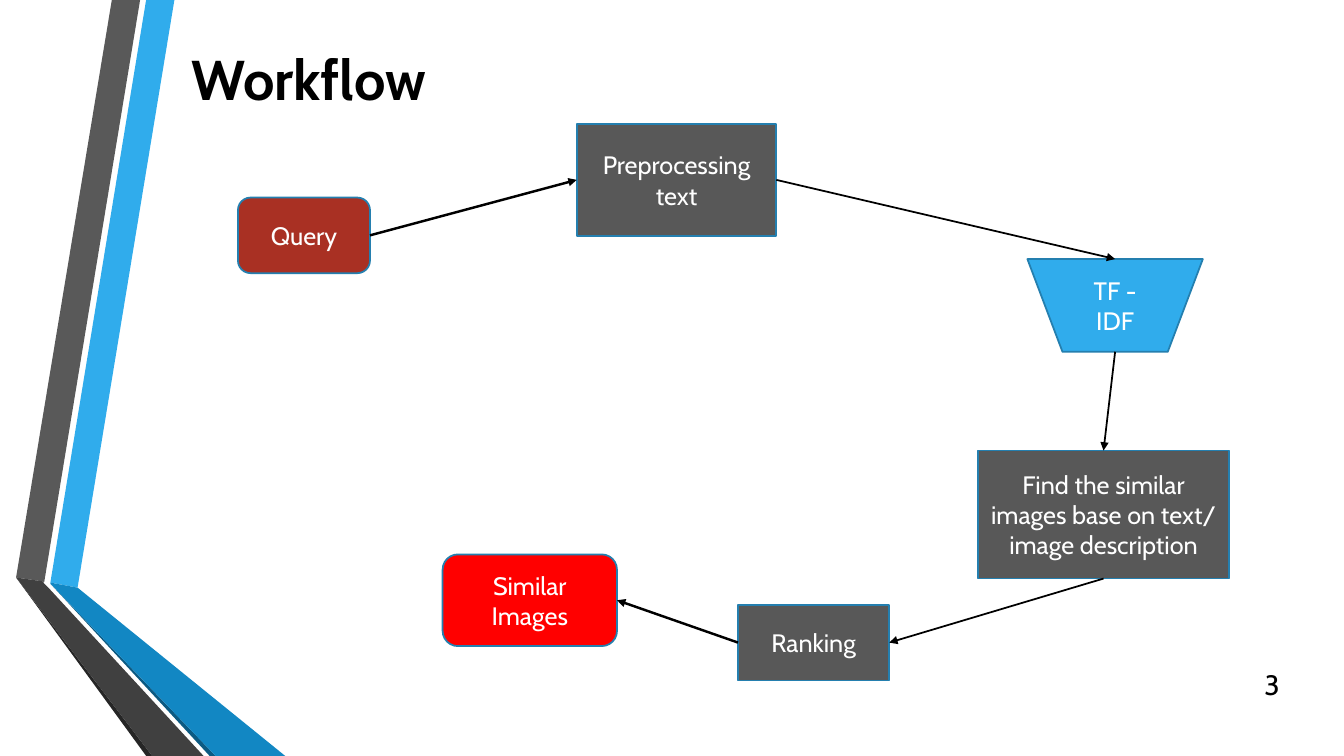
from lxml import etree
from pptx import Presentation
from pptx.dml.color import RGBColor
from pptx.enum.shapes import MSO_CONNECTOR, MSO_SHAPE
from pptx.enum.text import MSO_ANCHOR, PP_ALIGN
from pptx.oxml.ns import qn
from pptx.util import Inches, Pt

STRAIGHT = MSO_CONNECTOR.STRAIGHT
STEP = MSO_SHAPE.FLOWCHART_PROCESS
ROUND = MSO_SHAPE.FLOWCHART_ALTERNATE_PROCESS
FUNNEL = MSO_SHAPE.FLOWCHART_MANUAL_OPERATION
MIDDLE, TOP_ANCHOR = MSO_ANCHOR.MIDDLE, MSO_ANCHOR.TOP
LEFT_AL, CENTER, RIGHT_AL = PP_ALIGN.LEFT, PP_ALIGN.CENTER, PP_ALIGN.RIGHT
TOP, LEFT, BOTTOM, RIGHT = range(4)

BLACK = RGBColor(0x00, 0x00, 0x00)
WHITE = RGBColor(0xFF, 0xFF, 0xFF)
GRAY = RGBColor(0x58, 0x58, 0x58)
BRICK = RGBColor(0xA9, 0x30, 0x23)
RED = RGBColor(0xFF, 0x00, 0x00)
SKY = RGBColor(0x30, 0xAC, 0xEC)
EDGE = RGBColor(0x24, 0x7F, 0xAF)
SLATE = RGBColor(0x59, 0x59, 0x59)
COAL = RGBColor(0x26, 0x26, 0x26)
NAVY = RGBColor(0x0C, 0x5A, 0x82)
OCEAN = RGBColor(0x12, 0x87, 0xC3)
DARK = RGBColor(0x40, 0x40, 0x40)

# The slide is a grid of 1333 columns by 750 rows
CELL = Inches(0.01)
COLS, ROWS = 1333, 750

deck = Presentation()
deck.slide_width, deck.slide_height = COLS * CELL, ROWS * CELL
slide = deck.slides.add_slide(deck.slide_layouts[6])
shapes = slide.shapes


def grid(*cells):
    return [cell * CELL for cell in cells]


def write(shape, text, size, color, align, anchor, bold=False):
    frame = shape.text_frame
    frame.word_wrap = True
    frame.vertical_anchor = anchor
    para = frame.paragraphs[0]
    para.alignment = align
    run = para.add_run()
    run.text = text
    font = run.font
    font.name, font.size, font.bold = "Cabin", Pt(size), bold
    font.color.rgb = color


# Folded ribbons on the left edge
ribbons = [
    (SKY, [(50, 578), (77, 583), (173, 0), (145, 0)]),
    (SLATE, [(139, 0), (111, 0), (16, 573), (44, 577)]),
    (COAL, [(16, 573), (145, ROWS), (151, ROWS)]),
    (NAVY, [(50, 579), (208, ROWS), (214, ROWS)]),
    (OCEAN, [(50, 579), (214, ROWS), (283, ROWS), (77, 583), (50, 578)]),
    (DARK, [(202, ROWS), (48, 583), (43, 578), (44, 577), (16, 573),
            (151, ROWS)]),
]
for color, spots in ribbons:
    path = shapes.build_freeform(*grid(*spots[0]))
    path.add_line_segments([grid(*spot) for spot in spots[1:]], close=True)
    ribbon = path.convert_to_shape()
    ribbon.shadow.inherit = False
    ribbon.fill.solid()
    ribbon.fill.fore_color.rgb = color
    ribbon.line.fill.background()

# Page number and title
page = shapes.add_textbox(*grid(1219, 659, 60, 40))
write(page, "3", 20, BLACK, RIGHT_AL, MIDDLE)
title = shapes.add_textbox(*grid(180, 39, 374, 77))
write(title, "Workflow", 40, BLACK, LEFT_AL, TOP_ANCHOR, bold=True)

# Steps of the flow, in order
steps = [
    ("Query", ROUND, BRICK, (236, 196, 131, 75)),
    ("Preprocessing text", STEP, GRAY, (572, 123, 198, 111)),
    ("TF - IDF", FUNNEL, SKY, (1019, 257, 174, 92)),
    ("Find the similar images base on text/ image description", STEP, GRAY,
     (970, 447, 249, 127)),
    ("Ranking", STEP, GRAY, (732, 600, 150, 75)),
    ("Similar Images", ROUND, RED, (439, 550, 173, 91)),
]
boxes = []
for text, kind, color, place in steps:
    box = shapes.add_shape(kind, *grid(*place))
    box.shadow.inherit = False
    box.fill.solid()
    box.fill.fore_color.rgb = color
    box.line.color.rgb = EDGE
    box.line.width = Pt(1.25)
    write(box, text, 18, WHITE, CENTER, MIDDLE)
    boxes.append(box)

# Arrows from each step to the next: side left, side reached, width
links = [
    (RIGHT, LEFT, 1.75),
    (RIGHT, TOP, 1.25),
    (BOTTOM, TOP, 1.25),
    (BOTTOM, RIGHT, 1.25),
    (LEFT, RIGHT, 1.75),
]
for start, end, (out, into, width) in zip(boxes, boxes[1:], links):
    arrow = shapes.add_connector(STRAIGHT, 0, 0, 0, 0)
    arrow.begin_connect(start, out)
    arrow.end_connect(end, into)
    arrow.line.color.rgb = BLACK
    arrow.line.width = Pt(width)
    line = arrow.line._get_or_add_ln()
    etree.SubElement(line, qn("a:tailEnd"), type="triangle")
    etree.SubElement(arrow._element.spPr, qn("a:effectLst"))

deck.save("out.pptx")
